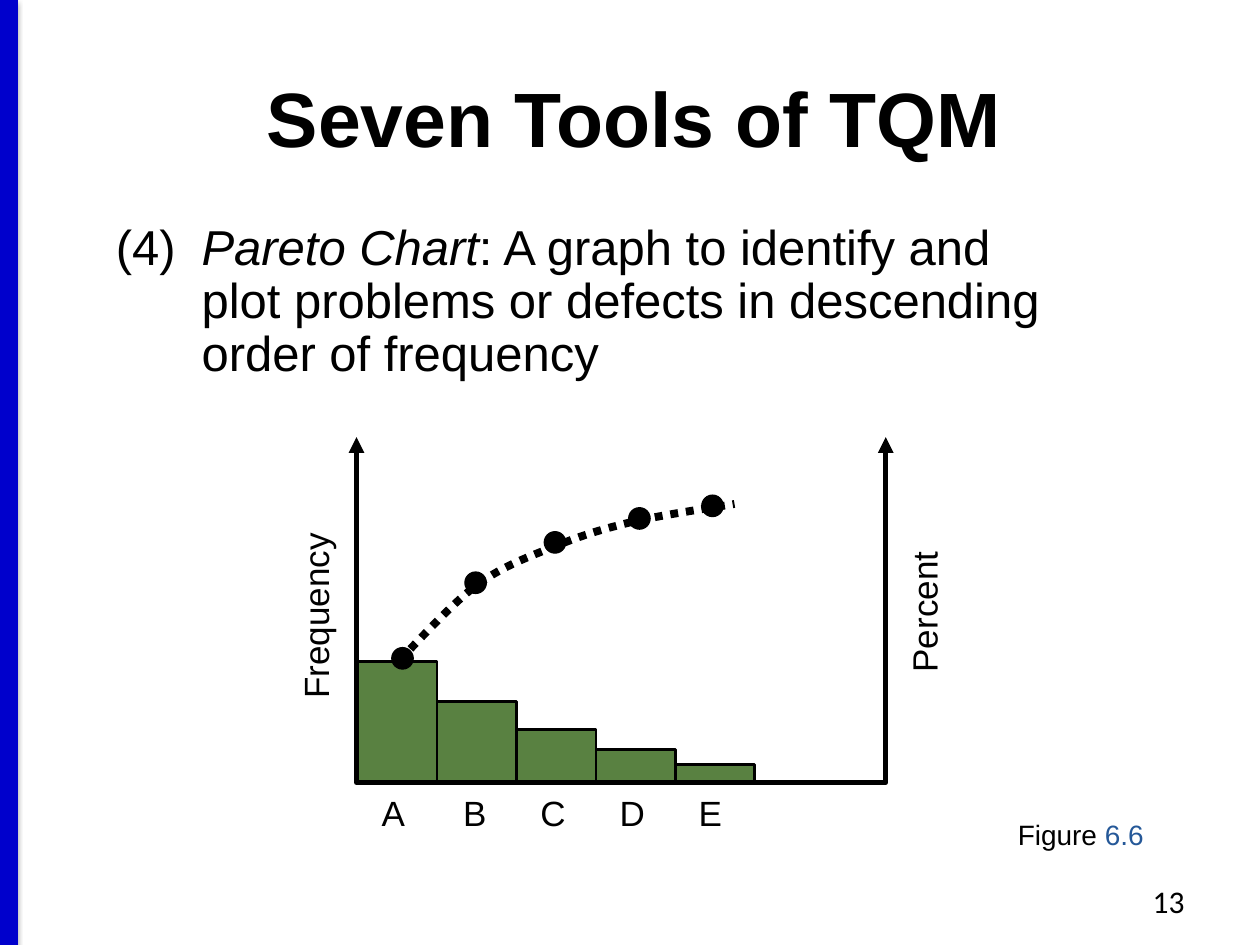
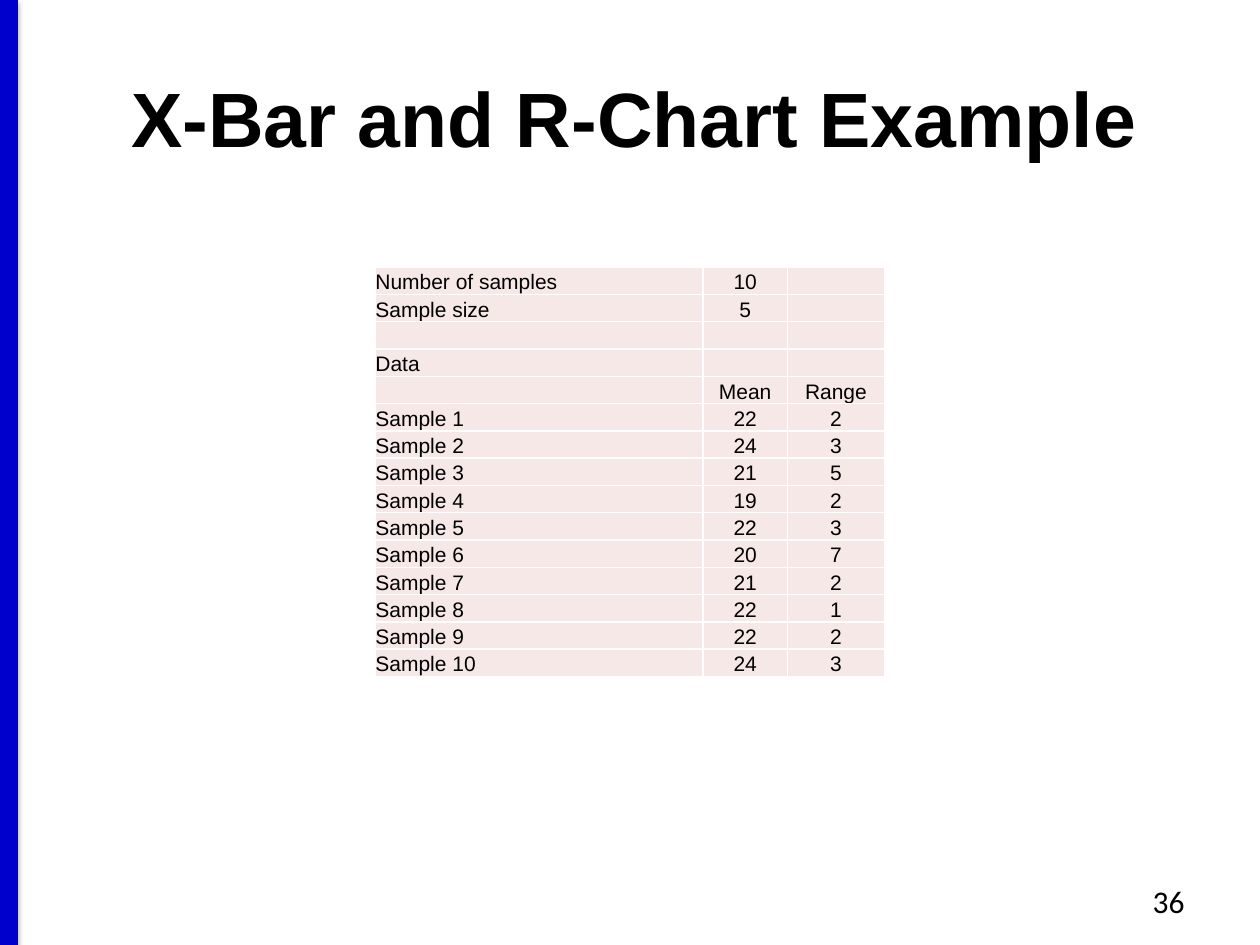
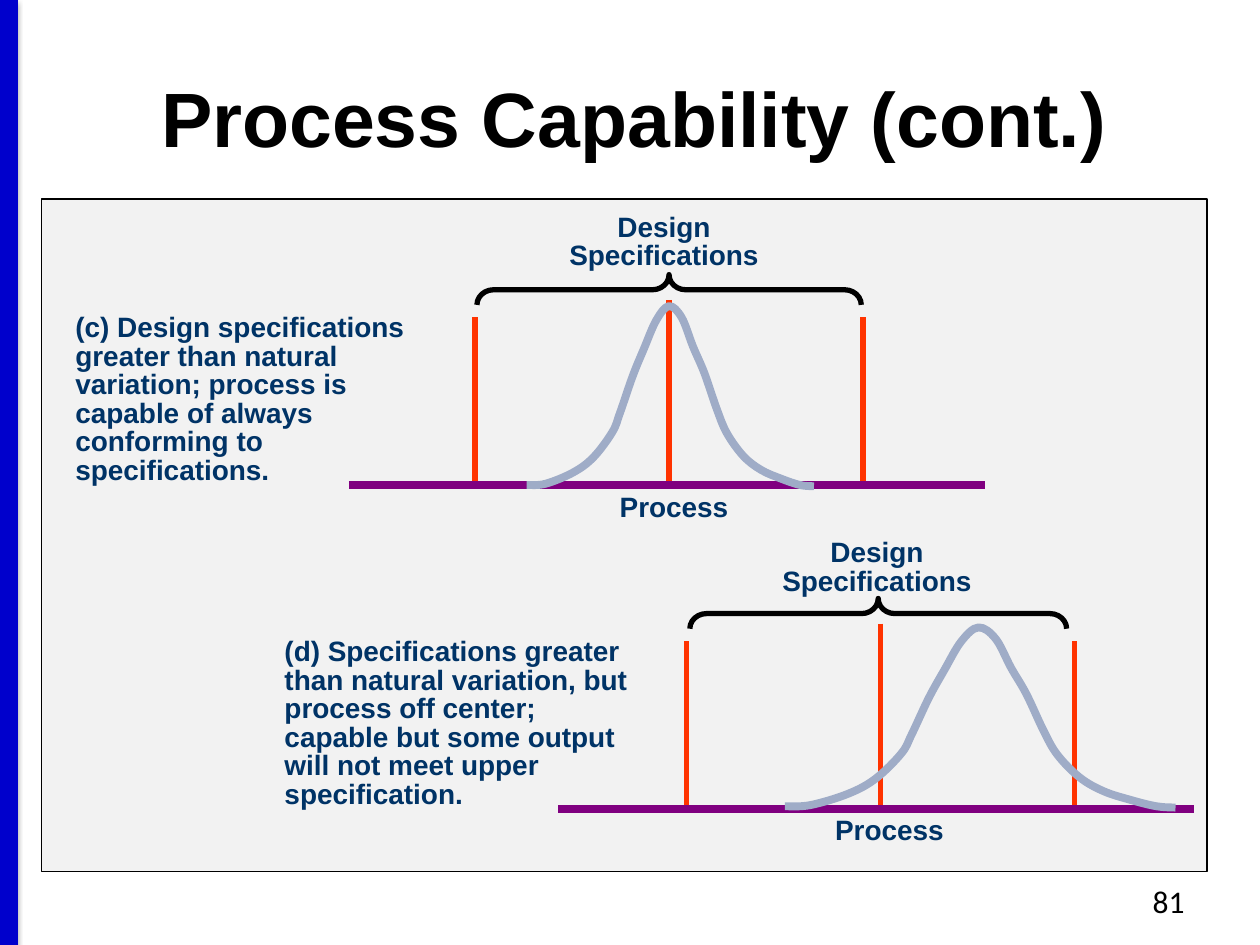
from dataclasses import dataclass

from lxml.etree import SubElement
from pptx import Presentation
from pptx.dml.color import RGBColor
from pptx.enum.dml import MSO_LINE
from pptx.enum.shapes import MSO_CONNECTOR, MSO_SHAPE
from pptx.enum.text import MSO_ANCHOR, MSO_AUTO_SIZE, PP_ALIGN
from pptx.oxml.ns import qn
from pptx.util import Inches, Pt

COLORS = {
    "black": "000000", "white": "FFFFFF", "band": "0000CC", "link": "255898",
    "bar": "598141", "cell": "F7E8E8", "panel": "F2F2F2", "label": "003366",
    "limit": "FF3300", "process": "800080", "bell": "9FACC7",
}
FONT = "Arial"
NUMBER_FONT = "Calibri"
TITLE_AND_BODY, TITLE_ONLY = 1, 5

BAR_HEIGHTS = [0.95, 0.63, 0.41, 0.25, 0.13]
MARKERS = [(0.28, 1.67), (0.86, 1.07), (1.49, 0.75), (2.16, 0.56), (2.74, 0.46)]
CUMULATIVE = [(0.34, 1.77), (0.96, 1.17), (1.59, 0.86), (2.2, 0.67), (3, 0.53)]
LABEL_TABS = [0.74, 1.36, 1.99, 2.61]

SAMPLES = [(22, 2), (24, 3), (21, 5), (19, 2), (22, 3),
           (20, 7), (21, 2), (22, 1), (22, 2), (24, 3)]
TABLE_ROWS = [
    ("Number of samples", 10, ""), ("Sample size", 5, ""), ("", "", ""),
    ("Data", "", ""), ("", "Mean", "Range"),
    *((f"Sample {number}", *values) for number, values in enumerate(SAMPLES, 1)),
]

BELL_WIDTH = 2.28
BELL = [(0, 0), (0.15, 0.01), (0.37, 0.1), (0.53, 0.22), (0.68, 0.42),
        (0.74, 0.57), (0.84, 0.86), (0.93, 1.08), (1.03, 1.31), (1.13, 1.42),
        (1.23, 1.33), (1.32, 1.1), (1.41, 0.89), (1.51, 0.6), (1.59, 0.41),
        (1.72, 0.23), (1.86, 0.12), (2.02, 0.05), (2.17, 0), (2.28, -0.01)]


@dataclass
class Capability:
    """A capability case, with positions measured from the process line."""

    caption: str
    axis: float
    label_left: float
    label_rise: float
    process_left: float
    brace_center: float
    brace_length: float
    bell_left: float
    bell_width: float
    bell_lift: float


CENTERED = Capability(
    "(c) Design specifications greater than natural variation; process is capable "
    "of always conforming to specifications.",
    axis=2.54, label_left=1.63, label_rise=2.2, process_left=2.05,
    brace_center=2.54, brace_length=3.05,
    bell_left=1.41, bell_width=BELL_WIDTH, bell_lift=0)
OFF_CENTER = Capability(
    "(d) Specifications greater than natural variation, but process off center; "
    "capable but some output will not meet upper specification.",
    axis=2.56, label_left=1.66, label_rise=2.19, process_left=2.1,
    brace_center=2.54, brace_length=2.99,
    bell_left=1.8, bell_width=3.1, bell_lift=0.02)


def color(name):
    """Return the named colour."""
    return RGBColor.from_string(COLORS[name])


def inches(*lengths):
    """Convert several lengths to Inches."""
    return [Inches(length) for length in lengths]


def style_paragraph(paragraph, size, color_name="black", bold=False,
                    align=PP_ALIGN.LEFT, spacing=None, font=FONT):
    """Set the alignment, spacing and font of a paragraph."""
    paragraph.alignment = align
    paragraph.line_spacing = spacing
    paragraph.space_before = Pt(0)
    paragraph.font.name = font
    paragraph.font.size = Pt(size)
    paragraph.font.bold = bold
    paragraph.font.color.rgb = color(color_name)


def add_text(slide, box, text, size, wrap=True, anchor=MSO_ANCHOR.TOP, rotation=0,
             tabs=(), **style):
    """Add a one-paragraph text box and return its paragraph."""
    shape = slide.shapes.add_textbox(*inches(*box))
    shape.rotation = rotation
    frame = shape.text_frame
    frame.word_wrap = wrap
    frame.vertical_anchor = anchor
    paragraph = frame.paragraphs[0]
    paragraph.add_run().text = text
    if tabs:
        tab_list = SubElement(paragraph._p.get_or_add_pPr(), qn("a:tabLst"))
        for position in tabs:
            SubElement(tab_list, qn("a:tab"), pos=str(Inches(position)), algn="ctr")
    style_paragraph(paragraph, size, **style)
    return paragraph


def add_line(shapes, start, end, color_name, width):
    """Add a straight line without shadow."""
    connector = shapes.add_connector(MSO_CONNECTOR.STRAIGHT, *inches(*start, *end))
    connector.line.color.rgb = color(color_name)
    connector.line.width = Pt(width)
    SubElement(connector.element.spPr, qn("a:effectLst"))
    return connector


def style_shape(shape, fill, line, width):
    """Set fill and outline; a fill of None leaves the shape open."""
    shape.shadow.inherit = False
    if fill:
        shape.fill.solid()
        shape.fill.fore_color.rgb = color(fill)
    else:
        shape.fill.background()
    shape.line.color.rgb = color(line)
    shape.line.width = Pt(width)
    return shape


def add_preset(slide, kind, box, fill, line, width):
    """Add a styled preset shape."""
    shape = slide.shapes.add_shape(kind, *inches(*box))
    return style_shape(shape, fill, line, width)


def add_polyline(slide, points, line, width):
    """Add an open outline through the points."""
    start, *rest = [inches(*point) for point in points]
    builder = slide.shapes.build_freeform(*start)
    builder.add_line_segments(rest, close=False)
    return style_shape(builder.convert_to_shape(), None, line, width)


def add_curve(slide, points, line, width):
    """Add a smooth open outline of Bezier segments through the points."""
    shape = add_polyline(slide, points, line, width)
    anchors = [(int(point.get("x")), int(point.get("y")))
               for point in shape.element.iter(qn("a:pt"))]
    padded = [anchors[0], *anchors, anchors[-1]]
    segments = list(shape.element.iter(qn("a:lnTo")))
    for segment, a, b, c, d in zip(segments, padded, padded[1:], padded[2:], padded[3:]):
        curve = segment.makeelement(qn("a:cubicBezTo"))
        leave = [q + (r - p) / 6 for p, q, r in zip(a, b, c)]
        arrive = [r - (s - q) / 6 for q, r, s in zip(b, c, d)]
        for x, y in (leave, arrive, c):
            SubElement(curve, qn("a:pt"), x=str(round(x)), y=str(round(y)))
        segment.getparent().replace(segment, curve)
    return shape


def add_master_band(presentation, slide):
    """Put the shadowed blue band at the left edge on the slide master."""
    band = add_line(slide.shapes, (0.07, 0), (0.07, 7.5), "band", 10)
    effects = band.element.spPr.find(qn("a:effectLst"))
    shadow = SubElement(effects, qn("a:outerShdw"), blurRad=str(Pt(3.1)),
                        dist=str(Pt(1.6)), dir="5400000", rotWithShape="0")
    shadow_color = SubElement(shadow, qn("a:srgbClr"), val=COLORS["black"])
    SubElement(shadow_color, qn("a:alpha"), val="38000")
    presentation.slide_master.shapes.element.append(band.element)


def place(shape, box):
    """Move a placeholder to a box."""
    shape.left, shape.top, shape.width, shape.height = inches(*box)
    shape.text_frame.auto_size = MSO_AUTO_SIZE.NONE


def add_slide(presentation, layout, title, number):
    """Add a slide with its title and number."""
    slide = presentation.slides.add_slide(presentation.slide_layouts[layout])
    heading = slide.shapes.title
    place(heading, (0.07, 0.3, 9.93, 1.25))
    heading.text_frame.text = title
    heading.text_frame.vertical_anchor = MSO_ANCHOR.MIDDLE
    style_paragraph(heading.text_frame.paragraphs[0], 44, bold=True,
                    align=PP_ALIGN.CENTER)
    add_text(slide, (7.17, 6.95, 2.33, 0.4), str(number), 18,
             align=PP_ALIGN.RIGHT, font=NUMBER_FONT)
    return slide


def fill_definition(body, box):
    """Write the numbered definition with a hanging indent."""
    place(body, box)
    paragraph = body.text_frame.paragraphs[0]
    properties = paragraph._p.get_or_add_pPr()
    properties.set("marL", str(Inches(0.68)))
    properties.set("indent", str(Inches(-0.68)))
    SubElement(properties, qn("a:buNone"))
    style_paragraph(paragraph, 28, spacing=0.9)
    paragraph.add_run().text = "(4)\t"
    term = paragraph.add_run()
    term.text = "Pareto Chart"
    term.font.italic = True
    paragraph.add_run().text = (": A graph to identify and plot problems or defects "
                                "in descending order of frequency")


def draw_pareto(slide, left, top, width, height):
    """Draw the Pareto diagram inside its axes box."""
    right, bottom = left + width, top + height
    add_text(slide, (left - 1.09, top + 1.19, 1.53, 0.44), "Frequency", 20,
             wrap=False, rotation=270)
    add_text(slide, (right - 0.28, top + 1.16, 1.17, 0.44), "Percent", 20,
             wrap=False, rotation=270)
    add_text(slide, (left + 0.1, bottom + 0.02, 2.95, 0.44), "A\tB\tC\tD\tE", 20,
             tabs=LABEL_TABS)
    bar_width = 0.15 * width
    for index, bar_height in enumerate(BAR_HEIGHTS):
        box = (left + 0.01 + index * bar_width, bottom - 0.01 - bar_height,
               bar_width, bar_height)
        add_preset(slide, MSO_SHAPE.RECTANGLE, box, "bar", "black", 1.5)
    curve = add_curve(slide, [(left + x, top + y) for x, y in CUMULATIVE], "black", 4.5)
    curve.line.dash_style = MSO_LINE.ROUND_DOT
    for x, y in MARKERS:
        add_preset(slide, MSO_SHAPE.OVAL, (left + x, top + y, 0.17, 0.17),
                   "black", "black", 0.75)
    corners = [(left, top), (left, bottom), (right, bottom), (right, top)]
    axes = add_polyline(slide, corners, "black", 3)
    for end in ("a:headEnd", "a:tailEnd"):
        SubElement(axes.line._get_or_add_ln(), qn(end), type="triangle")


def set_borders(cell):
    """Draw thin white borders round a cell."""
    properties = cell._tc.get_or_add_tcPr()
    for index, side in enumerate(("a:lnL", "a:lnR", "a:lnT", "a:lnB")):
        line = properties.makeelement(qn(side), w=str(Pt(1)))
        properties.insert(index, line)
        SubElement(SubElement(line, qn("a:solidFill")), qn("a:srgbClr"),
                   val=COLORS["white"])


def fill_cell(cell, value, align):
    """Write and style one table cell."""
    cell.margin_left = cell.margin_right = cell.margin_top = cell.margin_bottom = 0
    cell.vertical_anchor = MSO_ANCHOR.BOTTOM
    cell.fill.solid()
    cell.fill.fore_color.rgb = color("cell")
    set_borders(cell)
    cell.text = str(value)
    paragraph = cell.text_frame.paragraphs[0]
    style_paragraph(paragraph, 12, align=align)
    if value == "":
        SubElement(paragraph._p, qn("a:endParaRPr"), sz="1200")


def draw_sample_table(slide, left, top, width, height):
    """Add the table of sample means and ranges."""
    frame = slide.shapes.add_table(len(TABLE_ROWS), 3,
                                   *inches(left, top, width, height))
    table = frame.table
    table.first_row = table.horz_banding = False
    for column, column_width in zip(table.columns, (2.6, 0.67, 0.77)):
        column.width = Inches(column_width)
    for row_index, row in enumerate(TABLE_ROWS):
        for column_index, value in enumerate(row):
            align = PP_ALIGN.CENTER if column_index else PP_ALIGN.LEFT
            fill_cell(table.cell(row_index, column_index), value, align)


def draw_capability(slide, left, base, case):
    """Draw a process curve against its design limits."""
    label = {"color_name": "label", "bold": True}
    axis = left + case.axis
    top = base - case.label_rise
    add_text(slide, (left - 2.27, base - 1.4, 2.93, 1.47), case.caption, 16,
             spacing=0.85, **label)
    for offset, rise in ((-1.54, 1.33), (1.54, 1.33), (0, 1.47)):
        add_line(slide.shapes, (axis + offset, base - rise),
                 (axis + offset, base - 0.01), "limit", 3)
    brace_box = (left + case.brace_center - 0.12, base - 1.55 - case.brace_length / 2,
                 0.24, case.brace_length)
    brace = add_preset(slide, MSO_SHAPE.LEFT_BRACE, brace_box, None, "black", 3)
    brace.rotation = 90
    brace.adjustments[0] = 0.55
    add_text(slide, (left + case.label_left, top, 1.74, 0.56),
             "Design Specifications", 16, anchor=MSO_ANCHOR.MIDDLE,
             align=PP_ALIGN.CENTER, spacing=0.85, **label)
    add_text(slide, (left + case.process_left, base - 0.02, 1.07, 0.37), "Process", 16,
             wrap=False, anchor=MSO_ANCHOR.MIDDLE, **label)
    add_line(slide.shapes, (left, base), (left + 5.05, base), "process", 4.5)
    stretch = case.bell_width / BELL_WIDTH
    curve = [(left + case.bell_left + x * stretch, base - case.bell_lift - y)
             for x, y in BELL]
    add_curve(slide, curve, "bell", 4.5)


def build_pareto_slide(presentation):
    """Build the Pareto chart slide."""
    slide = add_slide(presentation, TITLE_AND_BODY, "Seven Tools of TQM", 13)
    add_master_band(presentation, slide)
    fill_definition(slide.placeholders[1], (0.82, 1.72, 7.65, 1.38))
    figure = add_text(slide, (7.98, 6.44, 1.25, 0.37), "Figure ", 16, wrap=False)
    reference = figure.add_run()
    reference.text = "6.6"
    reference.font.color.rgb = color("link")
    draw_pareto(slide, 2.83, 3.47, 4.2, 2.74)


def build_table_slide(presentation):
    """Build the X-bar and R-chart data slide."""
    slide = add_slide(presentation, TITLE_ONLY, "X-Bar and R-Chart Example", 36)
    draw_sample_table(slide, 2.98, 2.12, 4.04, 3.25)


def build_capability_slide(presentation):
    """Build the process capability slide."""
    slide = add_slide(presentation, TITLE_ONLY, "Process Capability (cont.)", 81)
    add_preset(slide, MSO_SHAPE.RECTANGLE, (0.33, 1.58, 9.25, 5.34),
               "panel", "black", 0.75)
    draw_capability(slide, 2.77, 3.85, CENTERED)
    draw_capability(slide, 4.43, 6.42, OFF_CENTER)


def main():
    """Build and save the presentation."""
    presentation = Presentation()
    presentation.slide_width, presentation.slide_height = inches(10, 7.5)
    build_pareto_slide(presentation)
    build_table_slide(presentation)
    build_capability_slide(presentation)
    presentation.save("out.pptx")


if __name__ == "__main__":
    main()
